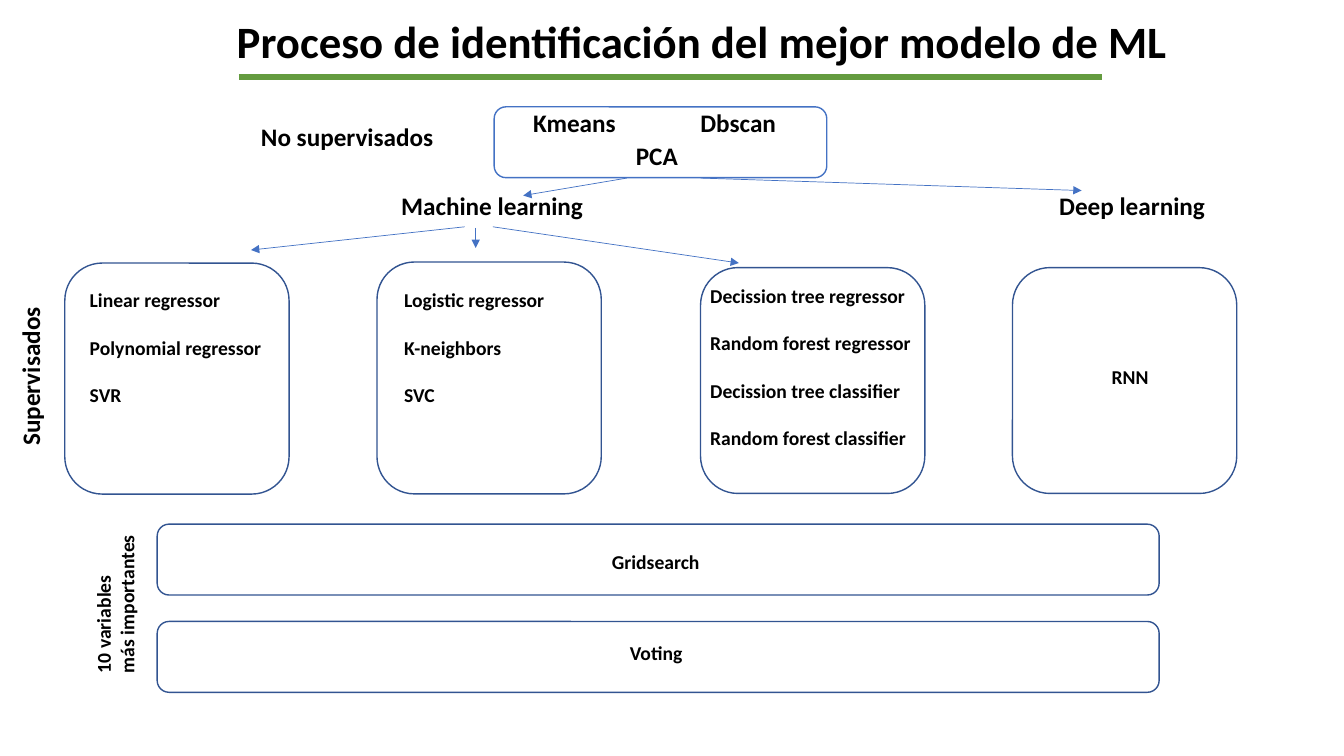
from dataclasses import dataclass

from lxml import etree
from pptx import Presentation
from pptx.dml.color import RGBColor
from pptx.enum.shapes import MSO_CONNECTOR, MSO_SHAPE
from pptx.enum.text import MSO_AUTO_SIZE
from pptx.oxml.ns import qn
from pptx.util import Pt

ROUNDED = MSO_SHAPE.ROUNDED_RECTANGLE
STRAIGHT = MSO_CONNECTOR.STRAIGHT
FIT_SHAPE = MSO_AUTO_SIZE.SHAPE_TO_FIT_TEXT


@dataclass(frozen=True)
class Theme:
    font: str = "Calibri"
    text: RGBColor = RGBColor(0, 0, 0)
    blue: RGBColor = RGBColor(0x44, 0x72, 0xC4)
    navy: RGBColor = RGBColor(0x32, 0x54, 0x91)
    green: RGBColor = RGBColor(0x64, 0x9B, 0x3F)
    title: int = 32
    heading: int = 18
    body: int = 14


class SlideBuilder:
    def __init__(self, slide, theme):
        self.slide = slide
        self.theme = theme

    def box(self, left, top, width, height, color):
        shape = self.slide.shapes.add_shape(
            ROUNDED, Pt(left), Pt(top), Pt(width), Pt(height))
        shape.shadow.inherit = False
        shape.fill.background()
        shape.line.color.rgb = color
        shape.line.width = Pt(1)

    def label(self, lines, left, top, width, height, size, gap=0, rotation=0):
        """Add bold text, one paragraph per line, with gap points between lines."""
        shape = self.slide.shapes.add_textbox(
            Pt(left), Pt(top), Pt(width), Pt(height))
        shape.rotation = rotation
        text_frame = shape.text_frame
        text_frame.word_wrap = False
        text_frame.auto_size = FIT_SHAPE
        text_frame.text = "\n".join(lines)
        for index, paragraph in enumerate(text_frame.paragraphs):
            if index and gap:
                paragraph.space_before = Pt(gap)
            for run in paragraph.runs:
                run.font.name = self.theme.font
                run.font.size = Pt(size)
                run.font.bold = True
                run.font.color.rgb = self.theme.text
        return text_frame

    def title(self, text, left, top, width, height):
        text_frame = self.label([text], left, top, width, height, self.theme.title)
        text_frame.word_wrap = True
        text_frame.paragraphs[0].line_spacing = 0.9

    def line(self, start, end, color, width):
        connector = self.slide.shapes.add_connector(
            STRAIGHT, *(Pt(value) for value in (*start, *end)))
        connector.line.color.rgb = color
        connector.line.width = Pt(width)
        properties = connector._element.spPr
        etree.SubElement(properties, qn("a:effectLst"))
        return connector

    def arrow(self, start, end):
        connector = self.line(start, end, self.theme.blue, 0.5)
        outline = connector._element.spPr.find(qn("a:ln"))
        etree.SubElement(outline, qn("a:tailEnd"), type="triangle")


def main():
    presentation = Presentation()
    presentation.slide_width = Pt(960)
    presentation.slide_height = Pt(540)
    slide = presentation.slides.add_slide(presentation.slide_layouts[6])
    theme = Theme()
    builder = SlideBuilder(slide, theme)

    builder.title("Proceso de identificación del mejor modelo de ML",
                  162, 10.8, 697.7, 42.5)
    builder.line((170.6, 54.9), (787, 54.9), theme.green, 4.5)

    builder.box(353, 76.3, 237.6, 50.6, theme.blue)
    headings = [
        ("Kmeans", 373.7, 73.4, 74.2),
        ("Dbscan", 493.2, 73.4, 69.1),
        ("PCA", 447.1, 96.8, 44.6),
        ("No supervisados", 179.3, 82.8, 138.2),
        ("Machine learning", 279.4, 132.5, 145.4),
        ("Deep learning", 749.5, 132.5, 127.4),
    ]
    for text, left, top, width in headings:
        builder.label([text], left, top, width, 28.8, theme.heading)

    model_boxes = [
        (46.3, 187.9, 165),
        (269.3, 187.2, 165.6),
        (500.4, 191.2, 161.3),
        (723.2, 191.2, 161.3),
    ]
    for left, top, height in model_boxes:
        builder.box(left, top, 160.2, height, theme.navy)

    model_lists = [
        (["Linear regressor", "Polynomial regressor", "SVR"],
         57, 202.3, 138.2, 92.2),
        (["Logistic regressor", "K-neighbors", "SVC"],
         281.5, 202.3, 115.9, 92.2),
        (["Decission tree regressor", "Random forest regressor",
          "Decission tree classifier", "Random forest classifier"],
         500.2, 199.2, 158.4, 126),
        (["RNN"], 787, 257, 41, 24.5),
    ]
    for lines, left, top, width, height in model_lists:
        builder.label(lines, left, top, width, height, theme.body, gap=17)

    selection_steps = [
        ("Gridsearch", 374.4, 430, 389.5, 77.8),
        ("Voting", 443.5, 442.8, 454.3, 52.6),
    ]
    for text, box_top, left, top, width in [
        ("Gridsearch", 374.4, 430, 389.5, 77.8),
        ("Voting", 443.9, 442.8, 454.3, 52.6),
    ]:
        builder.box(112.3, box_top, 715.7, 50.6, theme.navy)
        builder.label([text], left, top, width, 24.5, theme.body)

    builder.label(["Supervisados"], -35.3, 254.2, 113.8, 28.8,
                  theme.heading, rotation=270)
    builder.label(["10 variables", "más importantes"], 25.2, 410.4, 113.8, 41,
                  theme.body, rotation=270)

    arrows = [
        ((447.8, 127.2), (373.7, 139.7)),
        ((500.4, 127.2), (772.6, 136.1)),
        ((331.9, 162), (179.3, 178.6)),
        ((339.8, 162.7), (339.8, 177.1)),
        ((352.1, 162), (527.8, 187.9)),
    ]
    for start, end in arrows:
        builder.arrow(start, end)

    presentation.save("out.pptx")


if __name__ == "__main__":
    main()
